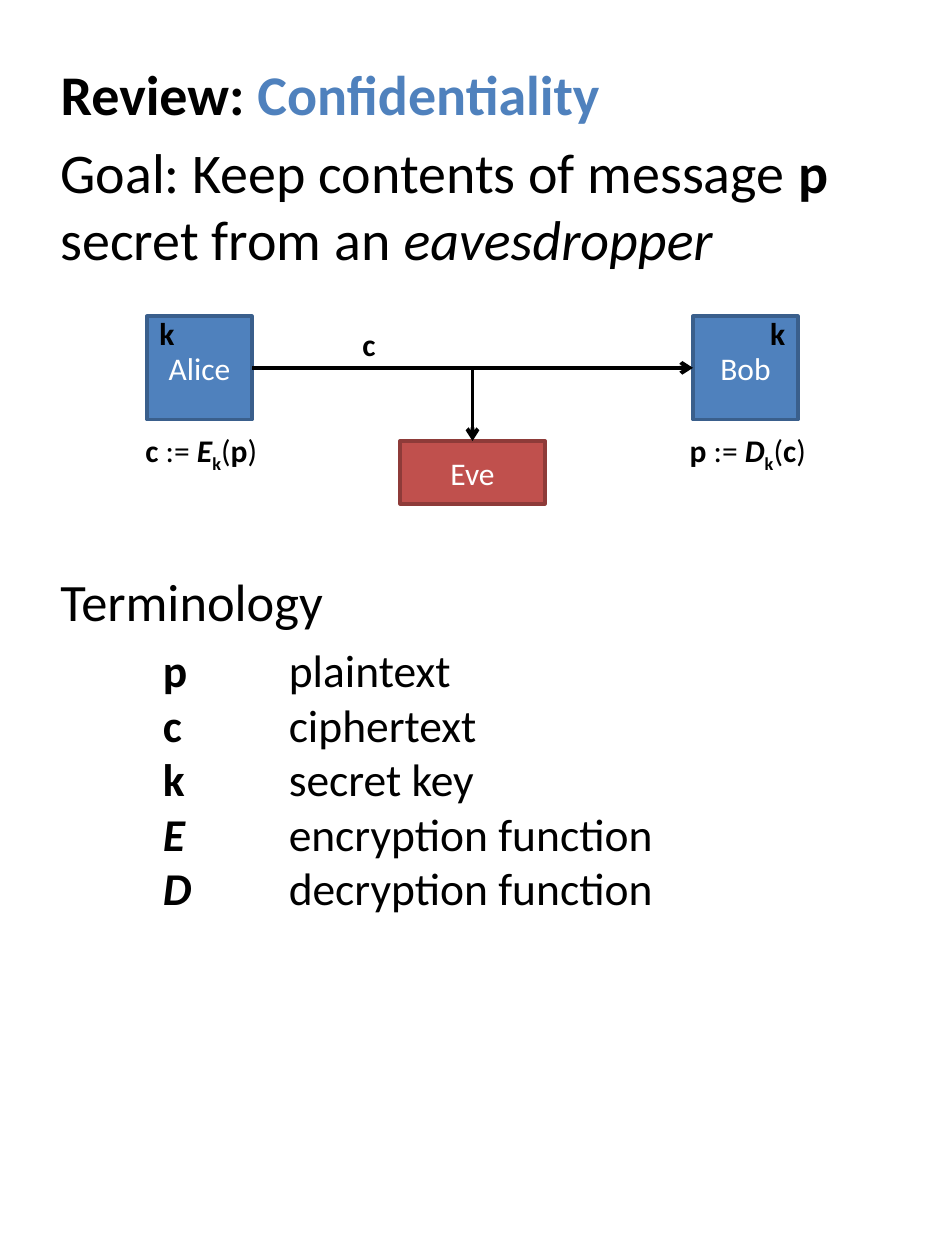
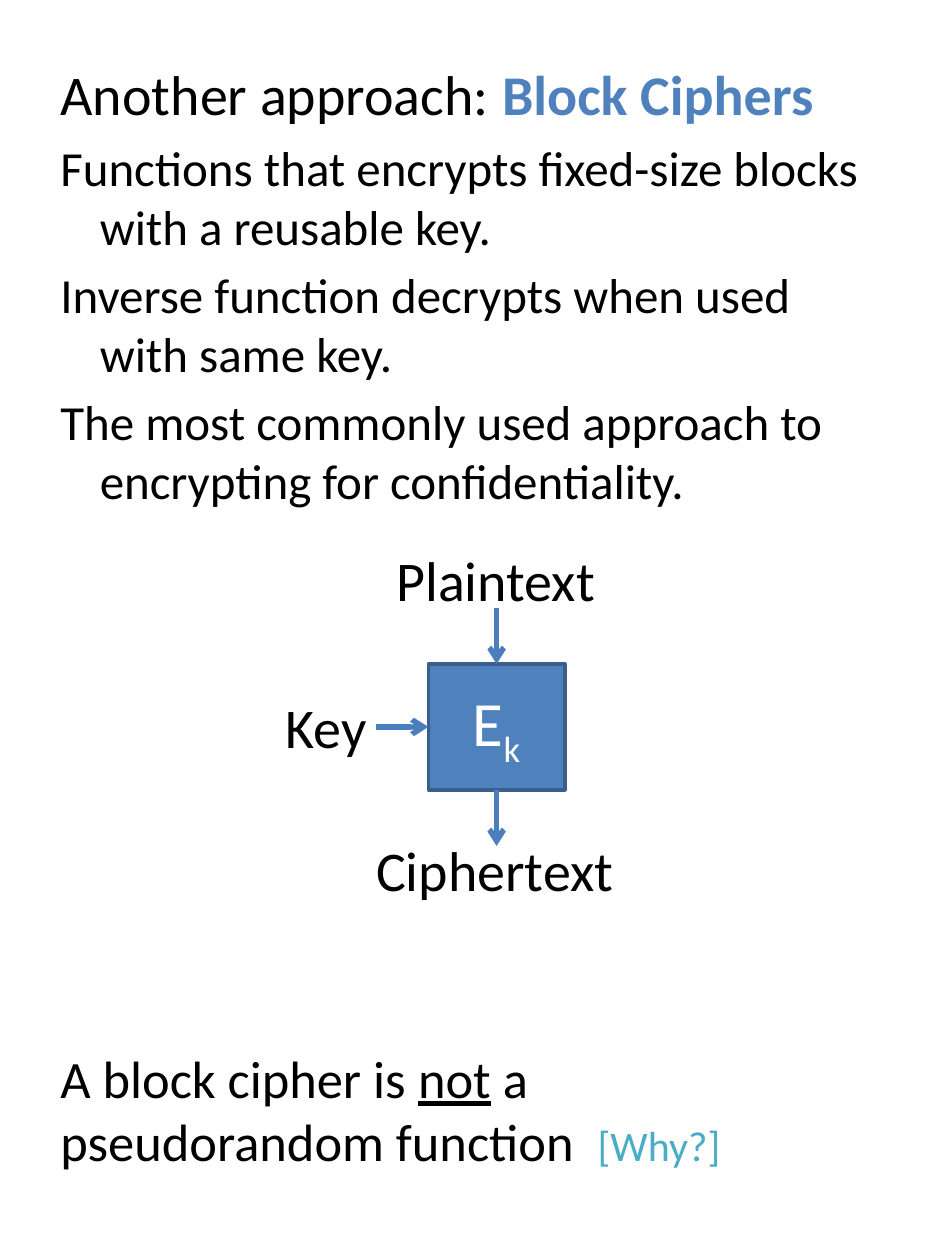
from lxml import etree
from pptx import Presentation
from pptx.dml.color import RGBColor
from pptx.enum.shapes import MSO_CONNECTOR, MSO_SHAPE
from pptx.enum.text import MSO_ANCHOR, MSO_AUTO_SIZE, PP_ALIGN
from pptx.oxml.ns import qn
from pptx.util import Pt

STRAIGHT = MSO_CONNECTOR.STRAIGHT
RECTANGLE = MSO_SHAPE.RECTANGLE
TOP, MIDDLE = MSO_ANCHOR.TOP, MSO_ANCHOR.MIDDLE
LEFT, CENTER = PP_ALIGN.LEFT, PP_ALIGN.CENTER
NO_AUTOFIT = MSO_AUTO_SIZE.NONE

BLACK = RGBColor(0x00, 0x00, 0x00)
WHITE = RGBColor(0xFF, 0xFF, 0xFF)
BLUE = RGBColor(0x4F, 0x81, 0xBD)
BLUE_EDGE = RGBColor(0x3A, 0x5F, 0x8C)
ARROW_BLUE = RGBColor(0x4B, 0x7E, 0xBC)
RED = RGBColor(0xC0, 0x50, 0x4D)
RED_EDGE = RGBColor(0x8E, 0x3B, 0x39)
TEAL = RGBColor(0x4B, 0xAC, 0xC6)

FONT = "Calibri"
TITLE_SIZE = 32
MARGIN, CONTENT_WIDTH = 27.4, 486
TITLE_TOP, BODY_TOP = 30.2, 75.2


def write_spans(para, spans, size, color=BLACK, align=LEFT):
    """Fill a paragraph from (text, style) pairs; style letters: b, i, u, s (subscript)."""
    para.alignment = align
    para.font.name, para.font.size = FONT, Pt(size)
    para.font.color.rgb = color
    for text, style in spans:
        span = para.add_run()
        span.text = text
        if "b" in style:
            span.font.bold = True
        if "i" in style:
            span.font.italic = True
        if "u" in style:
            span.font.underline = True
        if "s" in style:
            span.font._element.set("baseline", "-25000")


def set_indent(para, left, first):
    properties = para._p.get_or_add_pPr()
    properties.set("marL", str(Pt(left)))
    properties.set("indent", str(Pt(first)))


def add_text(page, left, top, width, height, paragraphs, size, wrap=True):
    """Add a text box with one paragraph per list of spans."""
    box = page.shapes.add_textbox(Pt(left), Pt(top), Pt(width), Pt(height))
    frame = box.text_frame
    frame.word_wrap = wrap
    for index, spans in enumerate(paragraphs):
        para = frame.add_paragraph() if index else frame.paragraphs[0]
        write_spans(para, spans, size)
    return frame.paragraphs


def add_block(page, left, top, width, height, spans, size, fill=BLUE, edge=BLUE_EDGE):
    block = page.shapes.add_shape(RECTANGLE, Pt(left), Pt(top), Pt(width), Pt(height))
    block.shadow.inherit = False
    block.fill.solid()
    block.fill.fore_color.rgb = fill
    block.line.color.rgb = edge
    block.line.width = Pt(2)
    block.text_frame.vertical_anchor = MIDDLE
    write_spans(block.text_frame.paragraphs[0], spans, size, WHITE, CENTER)


def add_arrow(page, x1, y1, x2, y2, color, weight):
    arrow = page.shapes.add_connector(STRAIGHT, Pt(x1), Pt(y1), Pt(x2), Pt(y2))
    arrow.line.color.rgb = color
    arrow.line.width = Pt(weight)
    etree.SubElement(arrow.line._get_or_add_ln(), qn("a:tailEnd"), type="arrow")
    etree.SubElement(arrow._element.spPr, qn("a:effectLst"))


def add_page(deck, lead, topic, lead_style=""):
    """Add a slide whose title is a black lead followed by a bold blue topic."""
    page = deck.slides.add_slide(deck.slide_layouts[5])
    title = page.shapes.title
    title.left, title.top = Pt(MARGIN), Pt(TITLE_TOP)
    title.width, title.height = Pt(CONTENT_WIDTH), Pt(46)
    frame = title.text_frame
    frame.auto_size, frame.vertical_anchor = NO_AUTOFIT, TOP
    para = frame.paragraphs[0]
    write_spans(para, [(lead, lead_style), (topic, "b")], TITLE_SIZE)
    para.runs[1].font.color.rgb = BLUE
    return page


def draw_eavesdropping(page, left, top, width):
    """Alice sends c to Bob while Eve listens on the line."""
    side, height = 60, 59
    bob = left + width - side
    wire = top + height / 2
    middle = left + width / 2
    for x, name in ((left, "Alice"), (bob, "Bob")):
        add_block(page, x, top, side, height, [(name, "")], 18)
    add_block(page, middle - 41.4, top + 71.3, 82.8, 36, [("Eve", "")], 18, RED, RED_EDGE)
    add_arrow(page, left + side, wire, bob, wire, BLACK, 2.25)
    add_arrow(page, middle, wire, middle, top + 71.3, BLACK, 2.25)

    for x, y, label_width, spans in (
        (left, -5, 23, [("k", "b")]),
        (left + width - 23, -5, 23, [("k", "b")]),
        (left + 116, 1.5, 22, [("c", "b")]),
        (left - 8, 62, 80, formula("c", "E", "p")),
        (bob - 9, 62, 83, formula("p", "D", "c")),
    ):
        add_text(page, x, top + y, label_width, 29, [spans], 18, wrap=False)


def formula(result, function, argument):
    return [(result, "b"), (" := ", ""), (function, "bi"), ("k", "bs"),
            ("(", ""), (argument, "b"), (")", "")]


def draw_terminology(page, left, top, width):
    add_text(page, left, top, width, 44, [[("Terminology", "")]], 30)
    terms = (
        ("p", "b", "plaintext"),
        ("c", "b", "ciphertext"),
        ("k", "b", "secret key"),
        ("E", "bi", "encryption function"),
        ("D", "bi", "decryption function"),
    )
    rows = [[(symbol, style), ("\t" + meaning, "")] for symbol, style, meaning in terms]
    for para in add_text(page, left, top + 42, width, 166, rows, 26):
        set_indent(para, 130.5, -72)


def draw_block_cipher(page, left, top):
    """Cipher box with its inputs above and to the left, and its output below."""
    width, height = 78, 72
    middle = left + width / 2
    add_block(page, left, top, width, height, [("E", ""), ("k", "s")], 36)
    for x1, y1, x2, y2 in (
        (middle, top - 32, middle, top),
        (left - 30, top + height / 2, left, top + height / 2),
        (middle, top + height, middle, top + height + 32),
    ):
        add_arrow(page, x1, y1, x2, y2, ARROW_BLUE, 3)
    for label, x, y, label_width in (
        ("Plaintext", -25.4, -71.3, 130),
        ("Ciphertext", -37, 94.3, 152),
        ("Key", -88.8, 13, 61),
    ):
        add_text(page, left + x, top + y, label_width, 46, [[(label, "")]], 32, wrap=False)


def build_confidentiality(deck):
    page = add_page(deck, "Review: ", "Confidentiality", "b")
    goal = [("Goal: Keep contents of message ", ""), ("p", "b"),
            (" secret from an ", ""), ("eavesdropper", "i")]
    add_text(page, MARGIN, BODY_TOP, CONTENT_WIDTH, 86, [goal], 32)
    draw_eavesdropping(page, 84, 180.7, 372)
    draw_terminology(page, MARGIN, 321.4, CONTENT_WIDTH)


def build_block_ciphers(deck):
    page = add_page(deck, "Another approach: ", "Block Ciphers")
    points = (
        "Functions that encrypts fixed-size blocks with a reusable key.",
        "Inverse function decrypts when used with same key.",
        "The most commonly used approach to encrypting for confidentiality.",
    )
    rows = [[(point, "")] for point in points]
    paragraphs = add_text(page, MARGIN, BODY_TOP, CONTENT_WIDTH, 224, rows, 28)
    for index, para in enumerate(paragraphs):
        set_indent(para, 22.5, -22.5)
        if index:
            para.space_before = Pt(5.2)
    draw_block_cipher(page, 244.8, 379.4)
    draw_question(page, MARGIN, 594, CONTENT_WIDTH)


def draw_question(page, left, top, width):
    """Closing remark, with the question set at a tab stop after its second line."""
    lines = [
        [("A block cipher is ", ""), ("not", "u"), (" a", "")],
        [("pseudorandom function", ""), ("\t[Why?]", "")],
    ]
    remark = add_text(page, left, top, width, 81, lines, 30)[1]
    question = remark.runs[1].font
    question.size, question.color.rgb = Pt(24), TEAL
    stops = etree.Element(qn("a:tabLst"))
    etree.SubElement(stops, qn("a:tab"), pos=str(Pt(307)), algn="l")
    remark._p.pPr.find(qn("a:defRPr")).addprevious(stops)


def main():
    deck = Presentation()
    deck.slide_width, deck.slide_height = Pt(540), Pt(720)
    build_confidentiality(deck)
    build_block_ciphers(deck)
    deck.save("out.pptx")


if __name__ == "__main__":
    main()
